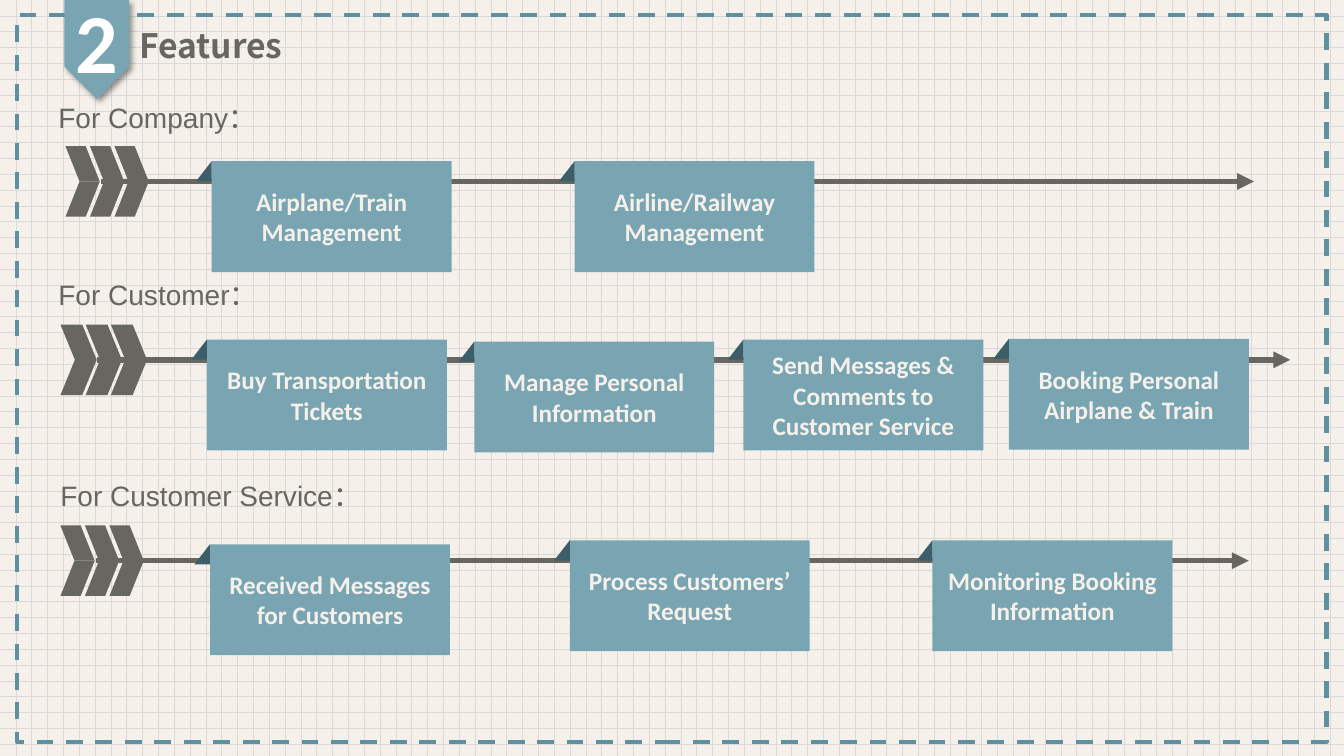
"""Build the Features slide: three arrow timelines carrying feature cards."""
from lxml import etree
from pptx import Presentation
from pptx import util as u
from pptx.dml.color import RGBColor
from pptx.enum import dml, shapes, text
from pptx.oxml import ns

COLORS = {
    "paper": "F5F0EA", "grid": "D9D9D9", "frame": "5D91A1", "card": "79A5B2",
    "fold": "3C5E68", "gray": "676661", "white": "FFFFFF", "black": "000000",
}
TITLE = "Features"
NUMBER = "2"
TIMELINES = [
    {"label": "For Company：", "label_at": (34.6, 68.4), "axis": (72, 895.7, 129.6),
     "chevrons": (46.8, 17.5, 24.5),
     "cards": [("Airplane/Train Management", 151.2, 115.2),
               ("Airline/Railway Management", 410.4, 115.2)]},
    {"label": "For Customer：", "label_at": (34.6, 195), "axis": (69, 921.6, 257),
     "chevrons": (43.2, 18, 25.9),
     "cards": [("Buy Transportation Tickets", 147.8, 242.6),
               ("Manage Personal Information", 338.8, 244),
               ("Send Messages & Comments to Customer Service", 531, 242.6),
               ("Booking Personal Airplane & Train", 720.7, 242)]},
    {"label": "For Customer Service：", "label_at": (36, 338.4), "axis": (68.4, 892, 400.5),
     "chevrons": (43.2, 17.5, 24.5),
     "cards": [("Received Messages for Customers", 150, 388.8),
               ("Process Customers’ Request", 407, 386),
               ("Monitoring Booking Information", 666, 386)]},
]
CHEVRON_COUNT = 3
CHEVRON_HALF = 25.2
CARD_SIZE = (171.4, 79.2)
FOLD_SIZE = (11.2, 14.4)

presentation = Presentation()
presentation.slide_width, presentation.slide_height = u.Pt(960), u.Pt(540)
slide = presentation.slides.add_slide(presentation.slide_layouts[5])


def color(name):
    return RGBColor.from_string(COLORS[name])


def write_text(shape, words, font="Calibri", size=18, ink="paper", bold=False,
               align=text.PP_ALIGN.LEFT, anchor=text.MSO_ANCHOR.TOP, wrap=True):
    frame = shape.text_frame
    frame.auto_size = text.MSO_AUTO_SIZE.NONE
    frame.word_wrap = wrap
    frame.vertical_anchor = anchor
    paragraph = frame.paragraphs[0]
    paragraph.alignment = align
    run = paragraph.add_run()
    run.text = words
    run.font.name, run.font.size, run.font.bold = font, u.Pt(size), bold
    run.font.color.rgb = color(ink)


def add_shape(kind, left, top, width, height, fill=None, adjustment=None, flip=False):
    shape = slide.shapes.add_shape(kind, u.Pt(left), u.Pt(top), u.Pt(width), u.Pt(height))
    shape.shadow.inherit = False
    shape.line.fill.background()
    if fill:
        shape.fill.solid()
        shape.fill.fore_color.rgb = color(fill)
    else:
        shape.fill.background()
    if adjustment is not None:
        shape.adjustments[0] = adjustment
    if flip:
        shape._element.spPr.xfrm.set("flipH", "1")
    return shape


def add_textbox(left, top, width, height):
    return slide.shapes.add_textbox(u.Pt(left), u.Pt(top), u.Pt(width), u.Pt(height))


def add_axis(start, end, y):
    axis = slide.shapes.add_connector(
        shapes.MSO_CONNECTOR.STRAIGHT, u.Pt(start), u.Pt(y), u.Pt(end), u.Pt(y))
    axis.line.color.rgb = color("gray")
    axis.line.width = u.Pt(4)
    etree.SubElement(axis.line._get_or_add_ln(), ns.qn("a:tailEnd"), type="triangle")
    etree.SubElement(axis._element.spPr, ns.qn("a:effectLst"))


def add_card(words, left, top):
    card = add_shape(shapes.MSO_SHAPE.RECTANGLE, left, top, *CARD_SIZE, fill="card")
    write_text(card, words, bold=True, align=text.PP_ALIGN.CENTER,
               anchor=text.MSO_ANCHOR.MIDDLE)
    add_shape(shapes.MSO_SHAPE.ISOSCELES_TRIANGLE, left - FOLD_SIZE[0], top, *FOLD_SIZE,
              fill="fold", adjustment=0, flip=True)


def add_timeline(timeline):
    start, end, y = timeline["axis"]
    add_axis(start, end, y)
    left, step, width = timeline["chevrons"]
    for top, flip in ((y - CHEVRON_HALF, True), (y, False)):
        for index in range(CHEVRON_COUNT):
            add_shape(shapes.MSO_SHAPE.PARALLELOGRAM, left + index * step, top, width,
                      CHEVRON_HALF, fill="gray", adjustment=0.41, flip=flip)
    for card in timeline["cards"]:
        add_card(*card)
    label = add_textbox(*timeline["label_at"], 480, 31.5)
    write_text(label, timeline["label"], font="Arial", size=20, ink="gray")


def add_badge():
    badge = add_shape(shapes.MSO_SHAPE.PENTAGON, 33.8, 12.2, 70.6, 46.1, fill="card")
    badge.rotation = 90
    effects = badge._element.spPr.find(ns.qn("a:effectLst"))
    shadow = etree.SubElement(
        effects, ns.qn("a:outerShdw"), blurRad=str(u.Pt(4)), dist=str(u.Pt(3)),
        dir="2700000", algn="tl", rotWithShape="0")
    tint = etree.SubElement(shadow, ns.qn("a:srgbClr"), val=COLORS["black"])
    etree.SubElement(tint, ns.qn("a:alpha"), val="40000")
    number = add_textbox(46.8, -10.8, 45.4, 80)
    write_text(number, NUMBER, size=60, ink="white", bold=True, wrap=False)


def main():
    background = slide.background.fill
    background.patterned()
    background.pattern = dml.MSO_PATTERN.DOTTED_GRID
    background.fore_color.rgb = color("grid")
    background.back_color.rgb = color("paper")

    border = add_shape(shapes.MSO_SHAPE.RECTANGLE, 12.2, 10.8, 935.3, 519.1)
    border.line.color.rgb = color("frame")
    border.line.width = u.Pt(3)
    border.line.dash_style = dml.MSO_LINE.DASH

    title = slide.shapes.title
    title.left, title.top, title.width, title.height = map(u.Pt, (92.2, 14.4, 118, 36))
    write_text(title, TITLE, font="Noto Sans CJK SC", size=24, ink="gray", bold=True,
               anchor=text.MSO_ANCHOR.MIDDLE, wrap=False)
    add_badge()
    for timeline in TIMELINES:
        add_timeline(timeline)
    presentation.save("out.pptx")


if __name__ == "__main__":
    main()
